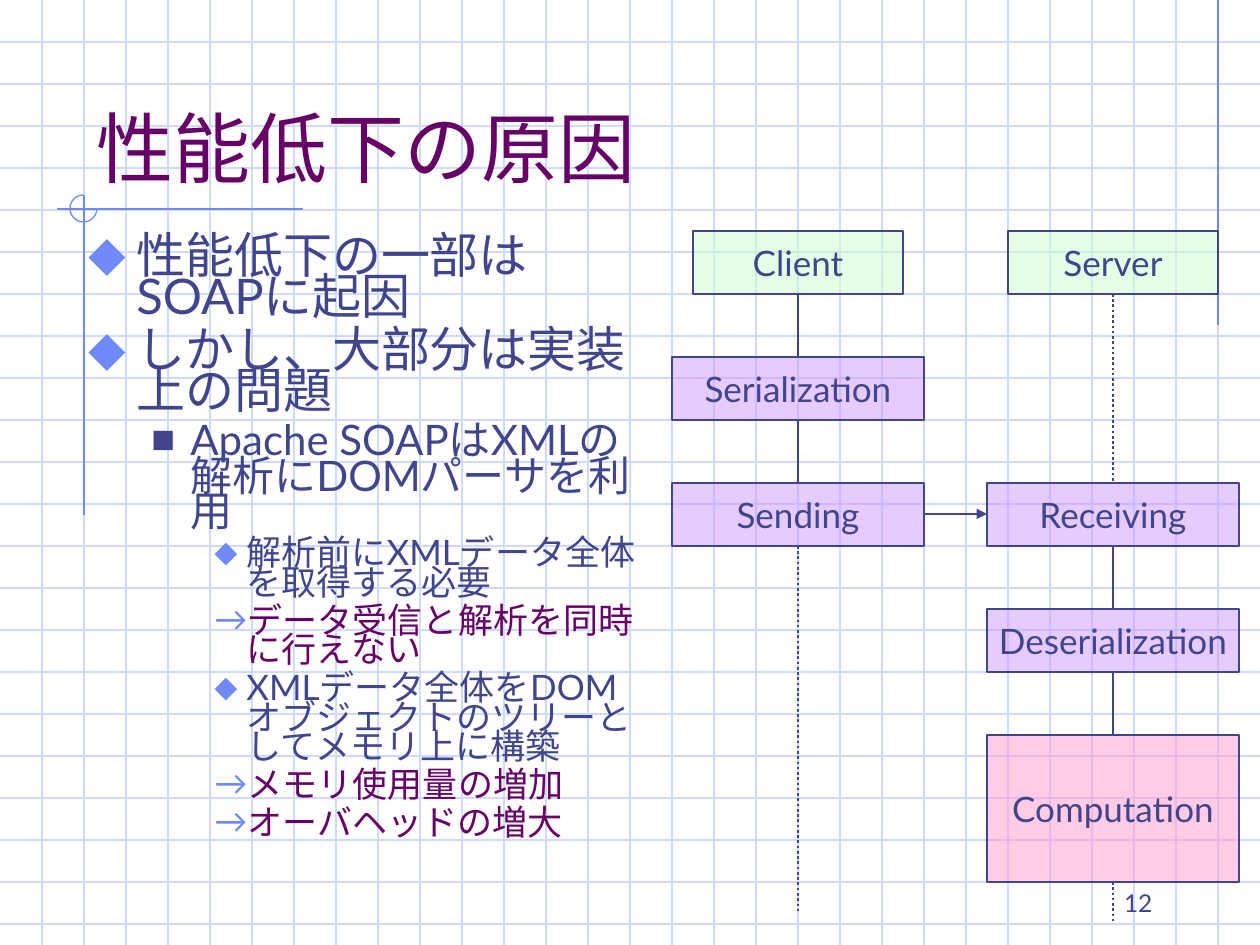
"""Build the slide on causes of performance loss with its client/server flow."""
from lxml import etree
from pptx import Presentation, util as u
from pptx.dml.color import RGBColor
from pptx.enum import dml, shapes, text
from pptx.oxml.ns import qn

SCALE = 914400 / 126
WIDTH, HEIGHT, GRID = 1260, 945, 42
FONT, INK, PLUM, BLUE, PALE = "Lato", "40458C", "660066", "6F89F7", "CFDBFD"
GREEN, VIOLET, PINK = "CCFFCC", "CC99FF", "FF99CC"

TITLE = "性能低下の原因"
LEVELS = [
    {"size": 28, "indent": 48, "hang": 48, "before": 7, "bullet_size": 110},
    {"size": 24, "indent": 102, "hang": 39, "before": 6, "bullet_size": 60},
    {"size": 20, "indent": 158, "hang": 32, "before": 5, "bullet_size": 95},
]
POINTS = [
    (0, "⬥", INK, "性能低下の一部はSOAPに起因"),
    (0, "⬥", INK, "しかし、大部分は実装上の問題"),
    (1, "■", INK, "Apache SOAPはXMLの解析にDOMパーサを利用"),
    (2, "⬥", INK, "解析前にXMLデータ全体を取得する必要"),
    (2, "→", PLUM, "データ受信と解析を同時に行えない"),
    (2, "⬥", INK, "XMLデータ全体をDOMオブジェクトのツリーとしてメモリ上に構築"),
    (2, "→", PLUM, "メモリ使用量の増加"),
    (2, "→", PLUM, "オーバヘッドの増大"),
]
CLIENT, SERVER = 798, 1113
STEPS = [
    ("Client", CLIENT, 231, 210, 63, GREEN),
    ("Serialization", CLIENT, 357, 252, 63, VIOLET),
    ("Sending", CLIENT, 483, 252, 63, VIOLET),
    ("Server", SERVER, 231, 210, 63, GREEN),
    ("Receiving", SERVER, 483, 252, 63, VIOLET),
    ("Deserialization", SERVER, 609, 252, 63, VIOLET),
    ("Computation", SERVER, 735, 252, 147, PINK),
]
ACTIVE = [(CLIENT, 294, 357), (CLIENT, 420, 483), (SERVER, 546, 609), (SERVER, 672, 735)]
WAITING = [(CLIENT, 546, 914), (SERVER, 294, 483), (SERVER, 882, 924)]
ORNAMENTS = [(1218, 0, 1218, 325), (303, 209, 57, 209), (84, 195, 84, 515)]


def px(*values):
    return [u.Emu(round(value * SCALE)) for value in values]


def color(value):
    return RGBColor.from_string(value)


def add_element(parent, tag, **attributes):
    return etree.SubElement(parent, qn(tag), attributes)


def add_line(page, ends, stroke, width, dotted=False, arrow=False):
    line = page.shapes.add_connector(shapes.MSO_CONNECTOR.STRAIGHT, *px(*ends))
    line.line.color.rgb = color(stroke)
    line.line.width = u.Pt(width)
    if dotted:
        line.line.dash_style = dml.MSO_LINE.ROUND_DOT
    if arrow:
        add_element(line.line._get_or_add_ln(), "a:tailEnd", type="triangle")
    add_element(line._element.spPr, "a:effectLst")


def add_span(para, words, size, ink):
    span = para.add_run()
    span.text = words
    for name, value in {"name": FONT, "size": u.Pt(size)}.items():
        setattr(span.font, name, value)
    span.font.color.rgb = color(ink)


def format_frame(frame, anchor, wrap=True):
    settings = {"word_wrap": wrap, "vertical_anchor": anchor, "auto_size": text.MSO_AUTO_SIZE.NONE}
    for name, value in settings.items():
        setattr(frame, name, value)


def add_text(page, place, anchor):
    frame = page.shapes.add_textbox(*px(*place)).text_frame
    format_frame(frame, anchor)
    return frame


def add_point(para, level, mark, ink, words, first):
    style = LEVELS[level]
    para.level = level
    para.line_spacing = 0.7
    para.space_before = u.Pt(0 if first else style["before"])
    props = para._p.get_or_add_pPr()
    indent, hang = px(style["indent"], style["hang"])
    props.set("marL", str(indent))
    props.set("indent", str(-hang))
    tint = add_element(props, "a:buClr")
    add_element(tint, "a:srgbClr", val=INK if mark == "■" else BLUE)
    add_element(props, "a:buSzPct", val=str(style["bullet_size"] * 1000))
    add_element(props, "a:buFont", typeface=FONT)
    add_element(props, "a:buChar", char=mark)
    add_span(para, words, style["size"], ink)


def add_step(page, words, center, top, width, height, fill):
    place = px(center - width / 2, top, width, height)
    box = page.shapes.add_shape(shapes.MSO_SHAPE.RECTANGLE, *place)
    box.shadow.inherit = False
    box.fill.solid()
    box.fill.fore_color.rgb = color(fill)
    shade = box._element.spPr.find(qn("a:solidFill")).find(qn("a:srgbClr"))
    add_element(shade, "a:alpha", val="50000")
    box.line.color.rgb = color(INK)
    box.line.width = u.Pt(0.75)
    format_frame(box.text_frame, text.MSO_ANCHOR.MIDDLE, wrap=False)
    para = box.text_frame.paragraphs[0]
    para.alignment = text.PP_ALIGN.CENTER
    add_span(para, words, 20, INK)


def add_background(page):
    for y in range(GRID, HEIGHT, GRID):
        add_line(page, (0, y, WIDTH, y), PALE, 0.75)
    for x in range(GRID, WIDTH, GRID):
        add_line(page, (x, 0, x, HEIGHT), PALE, 0.75)
    for ends in ORNAMENTS:
        add_line(page, ends, BLUE, 0.75)
    ring = page.shapes.add_shape(shapes.MSO_SHAPE.ARC, *px(70, 195, 27, 27))
    ring.shadow.inherit = False
    ring.adjustments[0], ring.adjustments[1] = 0, 162
    ring.fill.background()
    ring.line.color.rgb = color(BLUE)
    ring.line.width = u.Pt(0.75)


def main():
    deck = Presentation()
    deck.slide_width, deck.slide_height = px(WIDTH, HEIGHT)
    page = deck.slides.add_slide(deck.slide_layouts[6])
    add_background(page)

    title = add_text(page, (84, 42, 1071, 157), text.MSO_ANCHOR.BOTTOM)
    add_span(title.paragraphs[0], TITLE, 44, PLUM)
    body = add_text(page, (76, 234, 584, 657), text.MSO_ANCHOR.TOP)
    for index, point in enumerate(POINTS):
        para = body.add_paragraph() if index else body.paragraphs[0]
        add_point(para, *point, first=index == 0)

    for step in STEPS:
        add_step(page, *step)
    for spans, dotted in ((ACTIVE, False), (WAITING, True)):
        for x, top, bottom in spans:
            add_line(page, (x, top, x, bottom), INK, 1.5, dotted=dotted)
    add_line(page, (924, 514, 987, 514), INK, 1.5, arrow=True)

    number = add_text(page, (903, 861, 262, 63), text.MSO_ANCHOR.BOTTOM)
    number.paragraphs[0].alignment = text.PP_ALIGN.RIGHT
    add_span(number.paragraphs[0], "12", 14, INK)
    deck.save("out.pptx")


if __name__ == "__main__":
    main()
